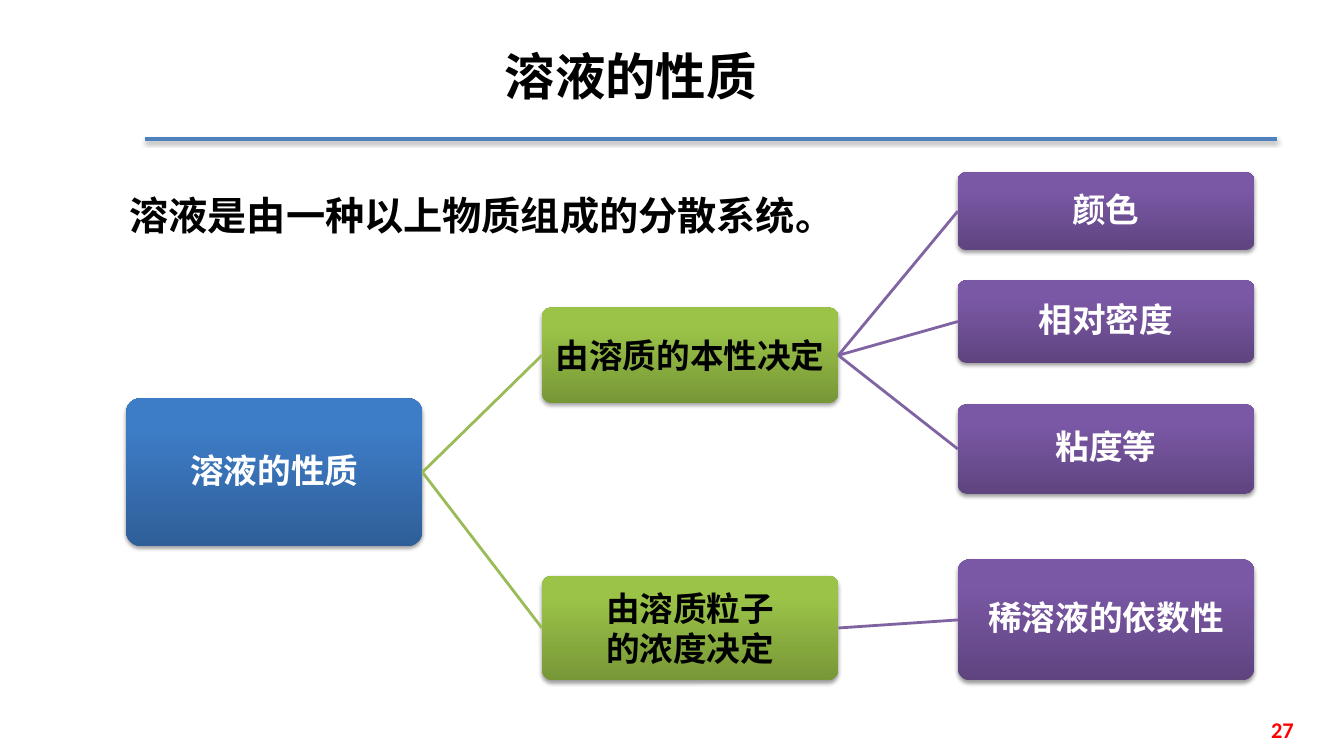
from collections import namedtuple

from lxml import etree
from pptx import Presentation
from pptx.dml.color import RGBColor
from pptx.enum.shapes import MSO_CONNECTOR as Connector, MSO_SHAPE as Shape
from pptx.enum.text import MSO_ANCHOR as Anchor, PP_ALIGN as Align
from pptx.oxml.ns import qn
from pptx.util import Inches, Pt

Box = namedtuple("Box", "left top width height")
Node = namedtuple("Node", "text top height children")

CJK_FONT = "Noto Sans CJK SC"
NODE_WIDTH = 2.94
LEVEL_STEP = 4.125
LEVELS = [
    {"gradient": ("2F5F99", "3D7CC7"), "text": "FFFFFF", "line": None, "spacing": 0.9, "after": 8},
    {"gradient": ("779737", "9BC348"), "text": "000000", "line": "9BBB59", "spacing": 1, "after": 0},
    {"gradient": ("5F4480", "7B58A6"), "text": "FFFFFF", "line": "8064A2", "spacing": 0.9, "after": 8},
]
PROPERTY_TREE = Node("溶液的性质", 2.24, 1.47, [
    Node("由溶质的本性决定", 1.34, 0.95, [
        Node("颜色", 0, 0.77, []),
        Node("相对密度", 1.07, 0.82, []),
        Node("粘度等", 2.3, 0.89, []),
    ]),
    Node("由溶质粒子\n的浓度决定", 4, 1.04, [
        Node("稀溶液的依数性", 3.84, 1.2, []),
    ]),
])


def color(value):
    """Turn a hex string into a colour."""
    return RGBColor.from_string(value)


def inches(box):
    """Turn a box into four lengths."""
    return [Inches(value) for value in box]


def set_values(target, values):
    """Set each attribute named in a dict."""
    for name, value in values.items():
        setattr(target, name, value)


def set_effects(shape, alpha=None):
    """Replace the effects with a soft drop shadow, or with none."""
    effects = etree.SubElement(shape._element.spPr, qn("a:effectLst"))
    if alpha is not None:
        shadow = etree.SubElement(effects, qn("a:outerShdw"), blurRad=str(Pt(3.1)),
                                  dist=str(Pt(1.7)), dir="5400000", rotWithShape="0")
        black = etree.SubElement(shadow, qn("a:srgbClr"), val="000000")
        etree.SubElement(black, qn("a:alpha"), val=str(alpha * 1000))


def write_text(shape, text, size, hex_color, font_name=CJK_FONT, frame=None, paragraph_format=None):
    """Write bold text, one paragraph a line."""
    text_frame = shape.text_frame
    set_values(text_frame, {"word_wrap": True, "vertical_anchor": Anchor.MIDDLE, **(frame or {})})
    text_frame.text = text
    for paragraph in text_frame.paragraphs:
        set_values(paragraph, {"alignment": Align.CENTER, **(paragraph_format or {})})
        for run in paragraph.runs:
            set_values(run.font, {"name": font_name, "size": Pt(size), "bold": True})
            run.font.color.rgb = color(hex_color)
            etree.SubElement(run._r.get_or_add_rPr(), qn("a:ea"), typeface=font_name)


def add_line(slide, start, end, hex_color, width, shadow_alpha=None):
    """Draw a straight line between two points in inches."""
    line = slide.shapes.add_connector(Connector.STRAIGHT, *inches(start + end))
    line.line.color.rgb = color(hex_color)
    line.line.width = Pt(width)
    set_effects(line, shadow_alpha)
    return line


def add_heading(slide, box):
    """Place the title and the rule along the foot of the box."""
    title = slide.shapes.title
    set_values(title, dict(zip(Box._fields, inches(
        (box.left + 0.9, box.top, 7.83, 0.66)))))
    write_text(title, "溶液的性质", 36, "000000")
    foot = box.top + box.height
    add_line(slide, (box.left, foot), (box.left + box.width, foot), "4F81BD", 3, 35)


def add_text(slide, box, text, size, hex_color, **options):
    """Place a text box."""
    write_text(slide.shapes.add_textbox(*inches(box)), text, size, hex_color, **options)


def add_node(slide, box, text, style):
    """Draw one rounded, shaded node of the tree."""
    shape = slide.shapes.add_shape(Shape.ROUNDED_RECTANGLE, *inches(box))
    shape.adjustments[0] = 0.1
    shape.fill.gradient()
    shape.fill.gradient_angle = 90
    for stop, position, shade in zip(shape.fill.gradient_stops, (0, 0.8), style["gradient"]):
        stop.position = position
        stop.color.rgb = color(shade)
    shape.line.fill.background()
    set_effects(shape, 38)
    margins = {f"margin_{side}": Inches(0.04) for side in ("left", "right", "top", "bottom")}
    write_text(shape, text, 24, style["text"], frame=margins, paragraph_format={
        "line_spacing": style["spacing"], "space_after": Pt(style["after"])})
    return shape


def add_tree(slide, box, node, level=0):
    """Draw a node and its branches, and return the node."""
    style = LEVELS[level]
    node_box = Box(box.left + level * LEVEL_STEP, box.top + node.top, NODE_WIDTH, node.height)
    shape = add_node(slide, node_box, node.text, style)
    for child in node.children:
        child_shape = add_tree(slide, box, child, level + 1)
        branch = add_line(slide, (0, 0), (1, 1), LEVELS[level + 1]["line"], 2)
        branch.begin_connect(shape, 3)
        branch.end_connect(child_shape, 1)
    return shape


def main():
    """Build and save the slide."""
    presentation = Presentation()
    set_values(presentation, {"slide_width": Inches(13.33), "slide_height": Inches(7.5)})
    slide = presentation.slides.add_slide(presentation.slide_layouts[5])
    add_heading(slide, Box(1.44, 0.42, 11.23, 0.96))
    add_tree(slide, Box(1.25, 1.71, 11.19, 5.04), PROPERTY_TREE)
    add_text(slide, Box(10.6, 7.04, 2.33, 0.4), "27", 16, "FF0000", font_name="Calibri",
             paragraph_format={"alignment": Align.RIGHT})
    add_text(slide, Box(1, 1.62, 7.17, 0.7), "溶液是由一种以上物质组成的分散系统。", 28, "000000",
             frame={"vertical_anchor": Anchor.TOP}, paragraph_format={"line_spacing": 1.5})
    presentation.save("out.pptx")


if __name__ == "__main__":
    main()
